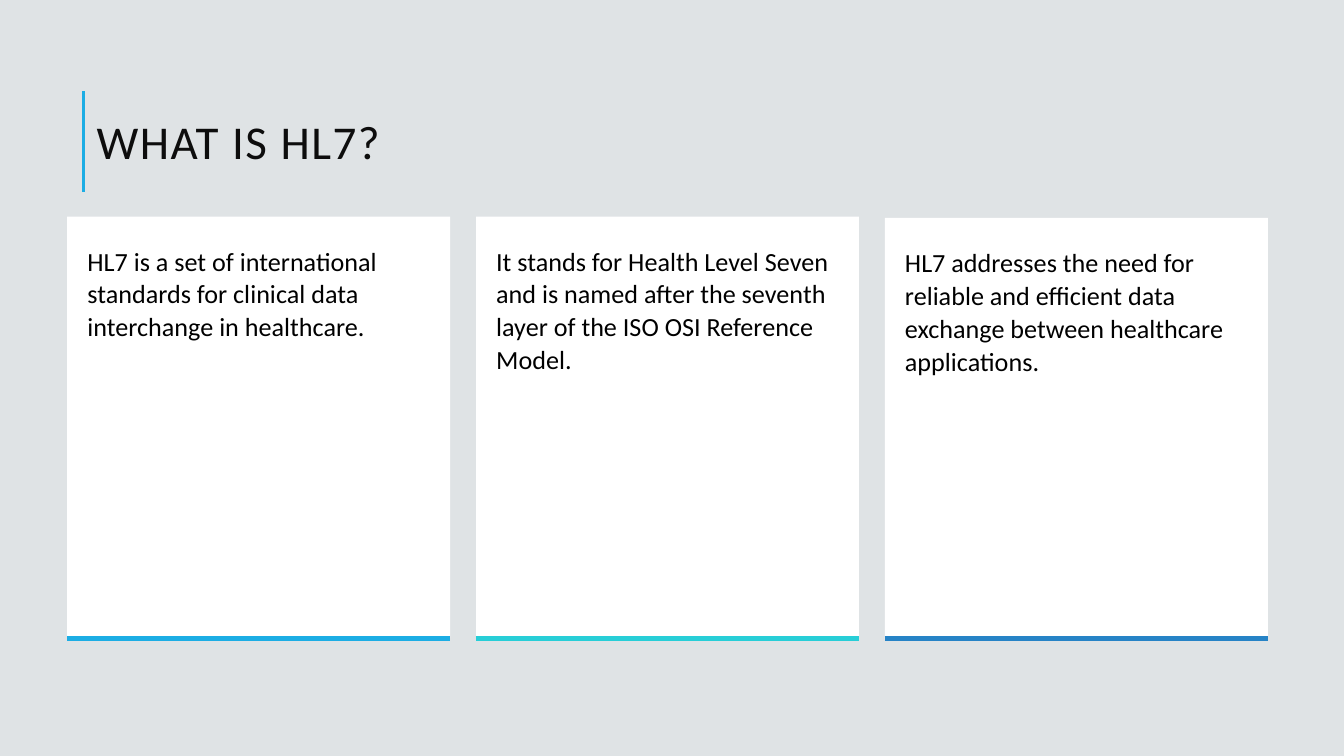
from lxml import etree
from pptx import Presentation
from pptx.dml.color import RGBColor
from pptx.enum import shapes, text
from pptx.oxml.ns import qn
from pptx.util import Pt

CARD_LEFT, CARD_PITCH = 36, 219
CARD_WIDTH, CARD_HEIGHT = 205.2, 226
BASE_Y = 342

# Text, top edge and accent colour of each card
CARDS = [
    ("HL7 is a set of international standards for clinical data "
     "interchange in healthcare.", 116, "1CADE4"),
    ("It stands for Health Level Seven and is named after the seventh "
     "layer of the ISO OSI Reference Model.", 116, "27CED7"),
    ("HL7 addresses the need for reliable and efficient data exchange "
     "between healthcare applications.", 116.7, "2683C6"),
]


def color(value):
    return RGBColor.from_string(value)


def place(holder, left, top, width, height):
    holder.left, holder.top = Pt(left), Pt(top)
    holder.width, holder.height = Pt(width), Pt(height)


def set_frame(frame, anchor, left, top, right, bottom):
    frame.word_wrap = True
    frame.auto_size = text.MSO_AUTO_SIZE.NONE
    frame.vertical_anchor = anchor
    frame.margin_left, frame.margin_top = Pt(left), Pt(top)
    frame.margin_right, frame.margin_bottom = Pt(right), Pt(bottom)


def add_run(paragraph, words, size, ink):
    run = paragraph.add_run()
    run.text = words
    run.font.name = "Calibri"
    run.font.size = Pt(size)
    run.font.bold = False
    run.font.color.rgb = color(ink)
    return run


def add_rule(slide, x1, y1, x2, y2, ink, weight):
    rule = slide.shapes.add_connector(
        shapes.MSO_CONNECTOR.STRAIGHT, Pt(x1), Pt(y1), Pt(x2), Pt(y2))
    rule.line.color.rgb = color(ink)
    rule.line.width = Pt(weight)
    etree.SubElement(rule._element.spPr, qn("a:effectLst"))


def fill_title(title, words):
    place(title, 44.6, 55.4, 648, 45.4)
    set_frame(title.text_frame, text.MSO_ANCHOR.MIDDLE, 7.2, 7.2, 7.2, 7.2)
    paragraph = title.text_frame.paragraphs[0]
    paragraph.alignment = text.PP_ALIGN.LEFT
    paragraph.line_spacing = 0.8
    run = add_run(paragraph, words, 25.2, "0D0D0D")
    run.font._element.set("spc", "80")


def fill_card(card, words, left, top):
    place(card, left, top, CARD_WIDTH, CARD_HEIGHT)
    card.fill.solid()
    card.fill.fore_color.rgb = color("FFFFFF")
    set_frame(card.text_frame, text.MSO_ANCHOR.TOP, 10.8, 14.4, 10.8, 7.2)
    paragraph = card.text_frame.paragraphs[0]
    # Plain paragraph without bullet or hanging indent
    properties = paragraph._p.get_or_add_pPr()
    properties.set("marL", "0")
    properties.set("indent", "0")
    etree.SubElement(properties, qn("a:buNone"))
    paragraph.alignment = text.PP_ALIGN.LEFT
    paragraph.line_spacing = 1.05
    paragraph.space_before = Pt(0)
    paragraph.space_after = Pt(10)
    add_run(paragraph, words, 14, "000000")


def main():
    deck = Presentation()
    deck.slide_width, deck.slide_height = Pt(720), Pt(405)
    # The comparison layout offers a title and four body areas
    slide = deck.slides.add_slide(deck.slide_layouts[4])
    slide.background.fill.solid()
    slide.background.fill.fore_color.rgb = color("DFE3E5")

    # Title with its upright rule
    fill_title(slide.shapes.title, "WHAT IS HL7?")
    add_rule(slide, 44.6, 103, 44.6, 49, "1CADE4", 1.5)

    # Three cards, each underlined in its accent colour
    bodies = [holder for holder in slide.placeholders
              if holder.placeholder_format.idx in (1, 2, 3, 4)]
    for column, (words, top, accent) in enumerate(CARDS):
        left = CARD_LEFT + column * CARD_PITCH
        fill_card(bodies[column], words, left, top)
        add_rule(slide, left, BASE_Y, left + CARD_WIDTH, BASE_Y, accent, 3)

    # Spare body area
    spare = bodies[-1]._element
    spare.getparent().remove(spare)

    deck.save("out.pptx")


if __name__ == "__main__":
    main()
